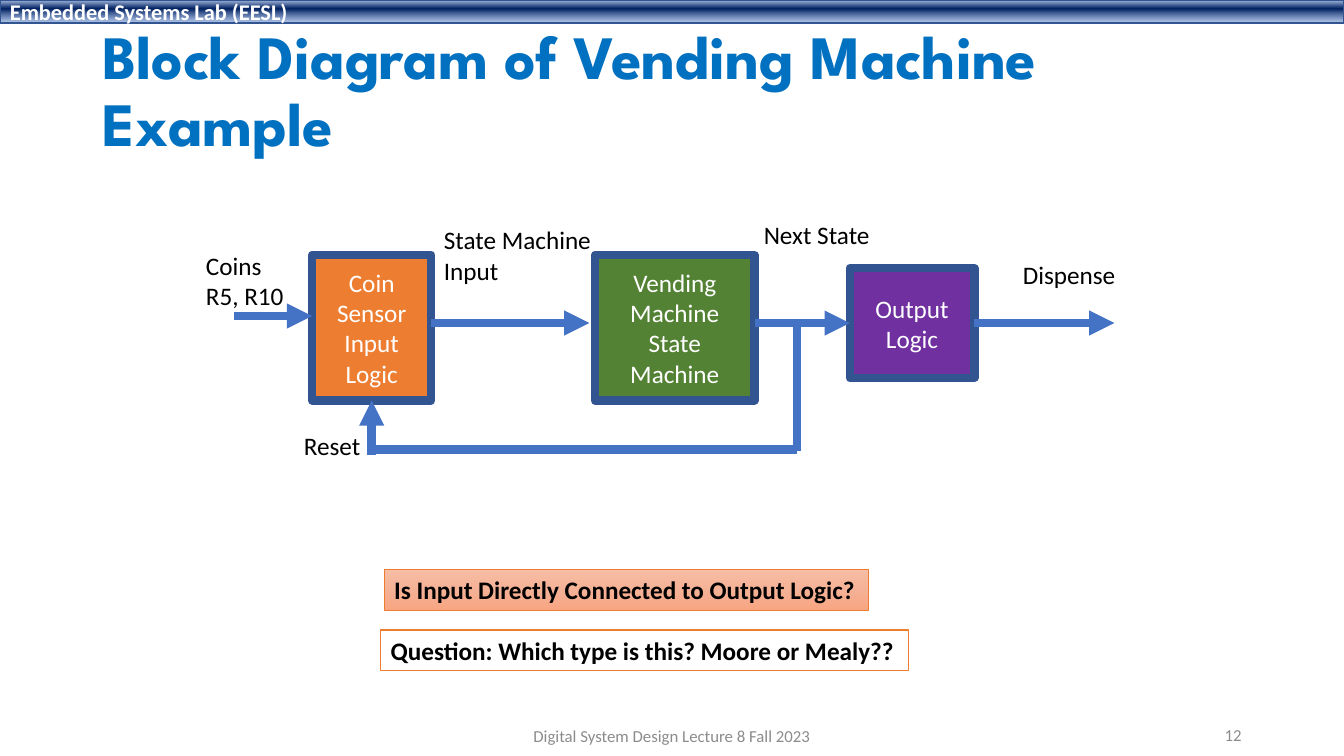
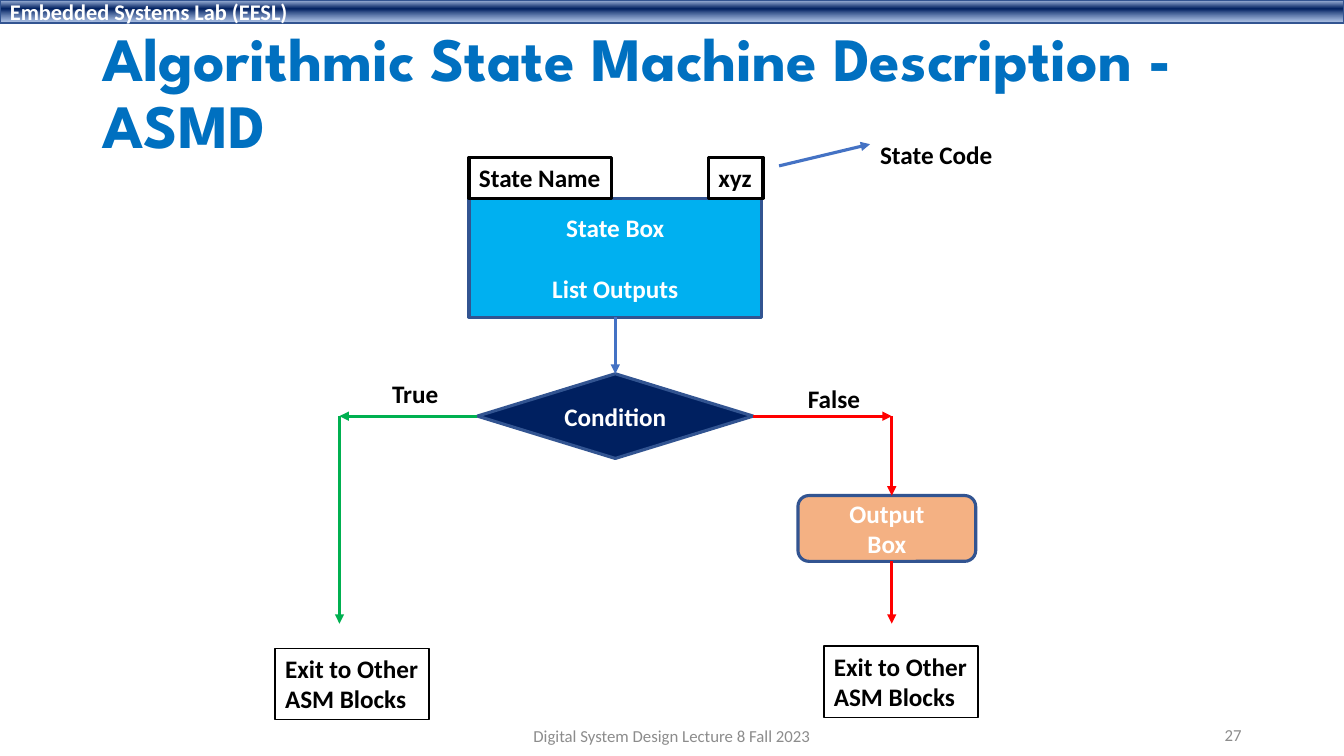
from collections import namedtuple

from lxml.etree import SubElement
from pptx import Presentation
from pptx.dml.color import RGBColor
from pptx.enum.shapes import MSO_CONNECTOR as Connector
from pptx.enum.shapes import MSO_SHAPE as Shape
from pptx.enum.text import MSO_ANCHOR as Anchor
from pptx.enum.text import MSO_AUTO_SIZE as AutoSize
from pptx.enum.text import PP_ALIGN as Align
from pptx.oxml.ns import qn
from pptx.util import Pt

BODY_FONT = "Calibri"
TITLE_FONT = "League Spartan"
WHITE, BLACK, GRAY = "FFFFFF", "000000", "8C8C8C"
TITLE_BLUE, ARROW_BLUE, OUTLINE_BLUE = "0070C0", "4472C4", "325491"
NAVY, ORANGE, GREEN, RED = "002060", "ED7D31", "00B050", "FF0000"
BAND_STOPS = [(2, "ABC0E4", 100), (38, NAVY, 100), (93, "7E9ED6", 64)]
PEACH_STOPS = [(0, "F7BDA5", 100), (50, "F5B196", 100), (100, "F8A582", 100)]
SLIDE_WIDTH, SLIDE_HEIGHT = 960, 540
LABEL_HEIGHT, TWO_LINE_HEIGHT = 29, 51


class Box(namedtuple("Box", "left top width height")):
    def inner(self, dx, dy, width, height):
        """A box placed relative to this one's top left corner."""
        return Box(self.left + dx, self.top + dy, width, height)

    @property
    def center(self):
        return self.left + self.width / 2

    @property
    def middle(self):
        return self.top + self.height / 2

    @property
    def right(self):
        return self.left + self.width

    @property
    def bottom(self):
        return self.top + self.height


def color(hex_value):
    return RGBColor.from_string(hex_value)


def write(shape, text, size=18, ink=BLACK, bold=False, align=Align.LEFT,
          anchor=Anchor.TOP, font=BODY_FONT, wrap=True):
    frame = shape.text_frame
    frame.text = text
    frame.word_wrap = wrap
    frame.auto_size = AutoSize.NONE if wrap else AutoSize.SHAPE_TO_FIT_TEXT
    frame.vertical_anchor = anchor
    for paragraph in frame.paragraphs:
        paragraph.alignment = align
        paragraph.font.name = font
        paragraph.font.size = Pt(size)
        paragraph.font.bold = bold
        paragraph.font.color.rgb = color(ink)
    return frame


def add_text(slide, box, text, **style):
    return write(slide.shapes.add_textbox(*map(Pt, box)), text, **style)


def add_label(slide, box, text, bold=False):
    add_text(slide, box, text, bold=bold, wrap=False)


def fill_gradient(shape, stops):
    """Fill from top to bottom with (position, colour, opacity) stops in percent."""
    shape.fill.gradient()
    shape.fill.gradient_angle = 270
    stop_list = shape.element.spPr.find(qn("a:gradFill")).find(qn("a:gsLst"))
    for old_stop in list(stop_list):
        stop_list.remove(old_stop)
    for position, hex_value, opacity in stops:
        stop = SubElement(stop_list, qn("a:gs"), pos=str(position * 1000))
        tint = SubElement(stop, qn("a:srgbClr"), val=hex_value)
        if opacity < 100:
            SubElement(tint, qn("a:alpha"), val=str(opacity * 1000))


def add_panel(slide, box, text, fill, line, line_width, kind=Shape.RECTANGLE, **style):
    """Outlined shape; fill is a colour, a list of gradient stops or None."""
    shape = slide.shapes.add_shape(kind, *map(Pt, box))
    shape.shadow.inherit = False
    if fill is None:
        shape.fill.background()
    elif isinstance(fill, list):
        fill_gradient(shape, fill)
    else:
        shape.fill.solid()
        shape.fill.fore_color.rgb = color(fill)
    shape.line.color.rgb = color(line)
    shape.line.width = Pt(line_width)
    return write(shape, text, **style)


def add_block(slide, box, text, fill, line_width, kind=Shape.RECTANGLE, bold=False):
    """Diagram node with centred white text."""
    return add_panel(slide, box, text, fill, OUTLINE_BLUE, line_width, kind, ink=WHITE,
                     bold=bold, align=Align.CENTER, anchor=Anchor.MIDDLE)


def add_tag(slide, box, text, fill, line, line_width):
    """Outlined box that fits its bold black text."""
    add_panel(slide, box, text, fill, line, line_width, bold=True, wrap=False)


def add_line(slide, start, end, line_color=ARROW_BLUE, width=2.25, arrow=True):
    line = slide.shapes.add_connector(Connector.STRAIGHT, *map(Pt, start + end))
    line.line.color.rgb = color(line_color)
    line.line.width = Pt(width)
    properties = line.element.spPr
    if arrow:
        SubElement(properties.find(qn("a:ln")), qn("a:tailEnd"), type="triangle")
    SubElement(properties, qn("a:effectLst"))


def add_frame(deck, title, title_box, number):
    """New slide with the lab band, title, footer and slide number."""
    slide = deck.slides.add_slide(deck.slide_layouts[6])
    add_panel(slide, Box(0, 0, SLIDE_WIDTH, 16.5), "Embedded Systems Lab (EESL)",
              BAND_STOPS, OUTLINE_BLUE, 1, size=16, ink=WHITE, bold=True,
              anchor=Anchor.MIDDLE)
    heading = add_text(slide, title_box, title, size=44, ink=TITLE_BLUE, bold=True,
                       anchor=Anchor.MIDDLE, font=TITLE_FONT)
    heading.paragraphs[0].line_spacing = 0.9
    for box, text, align in (
        (Box(318, 511, 324, 29), "Digital System Design Lecture 8 Fall 2023", Align.CENTER),
        (Box(678, 510.5, 216, 29), str(number), Align.RIGHT),
    ):
        add_text(slide, box, text, size=12, ink=GRAY, align=align, anchor=Anchor.MIDDLE)
    return slide


def add_block_diagram(slide, area):
    sensor = area.inner(83, 29, 85, 104)
    machine = area.inner(285, 29, 114, 104)
    output = area.inner(467, 38.5, 89, 78.5)
    for box, text, fill in (
        (sensor, "Coin\nSensor\nInput Logic", ORANGE),
        (machine, "Vending\nMachine\nState Machine", "548235"),
        (output, "Output\nLogic", "7030A0"),
    ):
        add_block(slide, box, text, fill, 6)

    flow = output.middle
    coins_y = flow - 5
    feedback_x, feedback_y = machine.right + 30.5, sensor.bottom + 35
    for start, end, arrow in (
        ((area.left + 27, coins_y), (sensor.left, coins_y), True),
        ((sensor.right, flow), (machine.left - 4, flow), True),
        ((machine.right, flow), (output.left, flow), True),
        ((output.right, flow), (output.right + 100, flow), True),
        ((feedback_x, flow), (feedback_x, feedback_y + 1.5), False),
        ((feedback_x, feedback_y), (sensor.center, feedback_y), False),
        ((sensor.center, feedback_y + 4), (sensor.center, sensor.bottom), True),
    ):
        add_line(slide, start, end, width=6, arrow=arrow)

    for dx, dy, width, height, text in (
        (70, 151, 55.5, LABEL_HEIGHT, "Reset"),
        (0, 22, 70.5, TWO_LINE_HEIGHT, "Coins\nR5, R10"),
        (170, 4, 121, TWO_LINE_HEIGHT, "State Machine\nInput"),
        (398.5, 0, 91, LABEL_HEIGHT, "Next State"),
        (583.5, 29, 81.5, LABEL_HEIGHT, "Dispense"),
    ):
        add_label(slide, area.inner(dx, dy, width, height), text)


def add_questions(slide, area):
    add_tag(slide, area.inner(2.5, 0, 346, LABEL_HEIGHT),
            "Is Input Directly Connected to Output Logic?", PEACH_STOPS, ORANGE, 0.5)
    add_tag(slide, area.inner(0, 43, 377, LABEL_HEIGHT),
            "Question: Which type is this? Moore or Mealy??", WHITE, ORANGE, 1)


def add_state_box(slide, state):
    frame = add_block(slide, state, "State Box\nList Outputs", "00B0F0", 2.25, bold=True)
    frame.paragraphs[1].space_before = Pt(22)
    for dx, width, text in ((171, 39, "xyz"), (0, 102, "State Name")):
        add_tag(slide, state.inner(dx, -LABEL_HEIGHT, width, LABEL_HEIGHT), text,
                None, BLACK, 2.25)
    add_line(slide, (state.right + 12.5, state.top - 23),
             (state.right + 77.5, state.top - 38.5))
    add_label(slide, state.inner(286.5, -45.5, 96, LABEL_HEIGHT), "State Code", bold=True)


def add_asm_chart(slide, area):
    state = area.inner(139, 45.5, 209, 85)
    condition = area.inner(145, 171, 197, 60.5)
    output = area.inner(374, 258, 127, 47)
    add_state_box(slide, state)
    add_block(slide, condition, "Condition", NAVY, 2.25, Shape.FLOWCHART_DECISION, True)
    add_block(slide, output, "Output\nBox", "F4B183", 2.25,
              Shape.FLOWCHART_ALTERNATE_PROCESS, True)

    true_x, false_x = area.left + 46.5, area.left + 441
    branch_y, exit_y = condition.middle, area.top + 349.5
    for start, end, line_color in (
        ((state.center, state.bottom), (state.center, condition.top), ARROW_BLUE),
        ((condition.left, branch_y), (true_x, branch_y), GREEN),
        ((true_x, branch_y), (true_x, exit_y), GREEN),
        ((condition.right, branch_y), (false_x, branch_y), RED),
        ((false_x, branch_y), (false_x, output.top), RED),
        ((false_x, output.bottom), (false_x, exit_y), RED),
    ):
        add_line(slide, start, end, line_color)

    add_label(slide, area.inner(77, 171, 47.5, LABEL_HEIGHT), "True", bold=True)
    add_label(slide, area.inner(374, 174, 52, LABEL_HEIGHT), "False", bold=True)
    for dx, dy in ((392.5, 365.5), (0.5, 367)):
        add_tag(slide, area.inner(dx, dy, 110, TWO_LINE_HEIGHT),
                "Exit to Other\nASM Blocks", WHITE, BLACK, 1)


def main():
    deck = Presentation()
    deck.slide_width, deck.slide_height = Pt(SLIDE_WIDTH), Pt(SLIDE_HEIGHT)

    vending = add_frame(deck, "Block Diagram of Vending Machine Example",
                        Box(66, 11, 828, 111), 12)
    add_block_diagram(vending, Box(140, 153, 665, 180))
    add_questions(vending, Box(272, 407, 377, 72))

    asmd = add_frame(deck, "Algorithmic State Machine Description - ASMD",
                     Box(66, 16, 883, 104), 27)
    add_asm_chart(asmd, Box(196, 96, 522, 418))

    deck.save("out.pptx")


if __name__ == "__main__":
    main()
